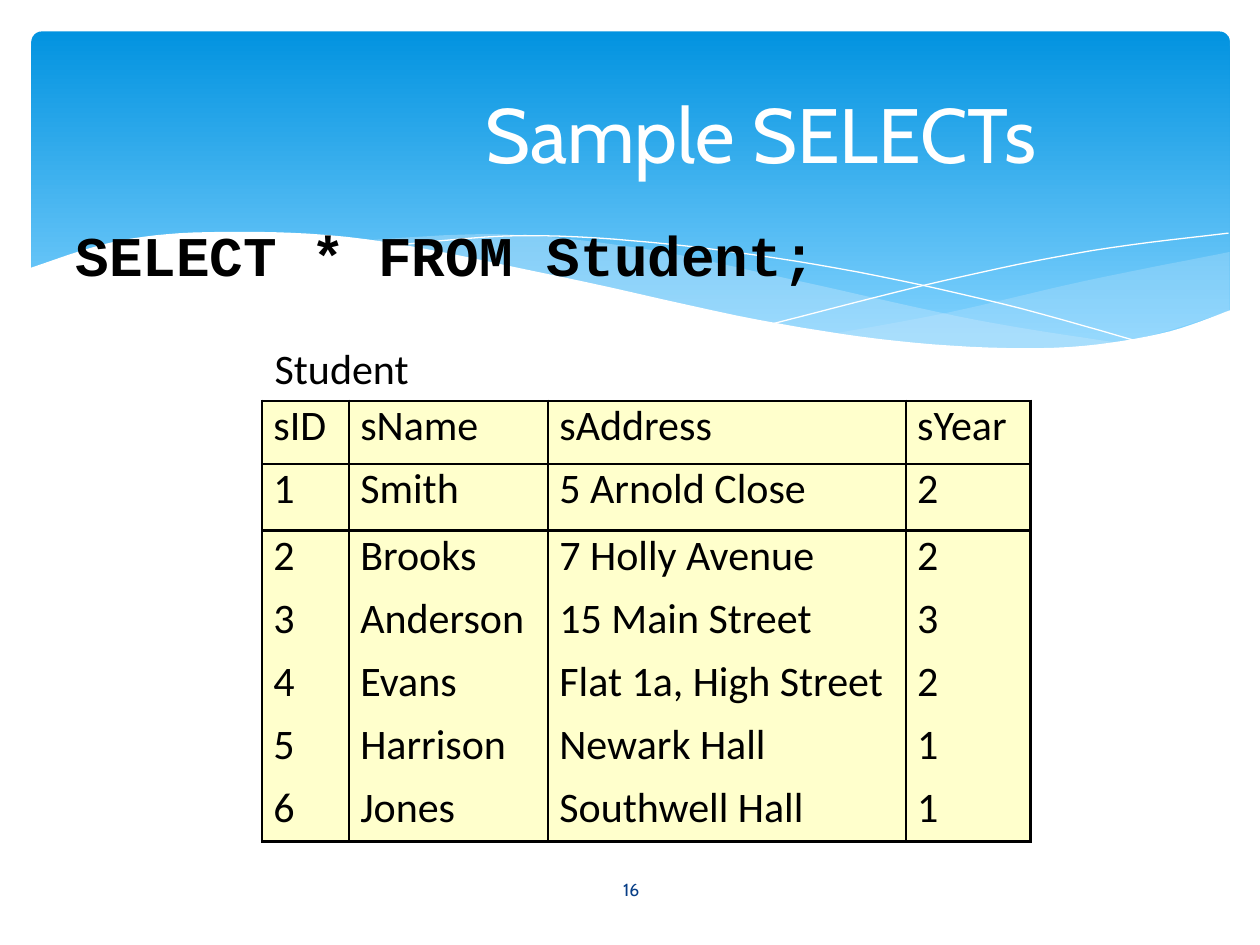
"""Build the "Sample SELECTs" slide: a wave banner, a query and its result table."""
from lxml.etree import SubElement
from pptx import Presentation
from pptx.dml.color import RGBColor
from pptx.enum.shapes import MSO_SHAPE
from pptx.enum.text import MSO_ANCHOR, PP_ALIGN
from pptx.oxml.ns import qn
from pptx.util import Inches, Pt

rgb = RGBColor.from_string
BLACK, WHITE, NAVY = "000000", "FFFFFF", "073E87"
SKY_TOP, SKY_BOTTOM, MIST, CREAM = "0293E0", "81D2FE", "C6E7FC", "FFFFCC"
UNITS_PER_INCH = 1000
STEPS_PER_SPAN = 8


def smooth_curve(anchors):
    """Return points of a Catmull-Rom spline that runs through the anchors."""
    padded = [anchors[0], *anchors, anchors[-1]]
    curve = []
    for before, start, end, after in zip(padded, padded[1:], padded[2:], padded[3:]):
        for step in range(STEPS_PER_SPAN):
            t = step / STEPS_PER_SPAN
            curve.append(tuple(
                (2 * b + (c - a) * t + (2 * a - 5 * b + 4 * c - d) * t ** 2
                 + (3 * b - a - 3 * c + d) * t ** 3) / 2
                for a, b, c, d in zip(before, start, end, after)))
    return curve + [anchors[-1]]


def write_text(frame, text, size, font, color, bold=False):
    """Fill a frame that has no margins with one formatted paragraph."""
    frame.text = text
    frame.margin_left = frame.margin_right = frame.margin_top = frame.margin_bottom = 0
    run = frame.paragraphs[0].runs[0]
    run.font.size = Pt(size)
    run.font.name = font
    run.font.bold = bold
    run.font.color.rgb = rgb(color)


prs = Presentation()
prs.slide_width, prs.slide_height = Inches(10), Inches(7.5)
slide = prs.slides.add_slide(prs.slide_layouts[5])
shapes = slide.shapes

banner = shapes.add_shape(
    MSO_SHAPE.ROUNDED_RECTANGLE, Inches(0.25), Inches(0.25), Inches(9.51), Inches(2.7))
banner.adjustments[0] = 0.03
banner.shadow.inherit = False
banner.line.fill.background()
banner.fill.gradient()
banner.fill.gradient_angle = 270
for stop, position, color in zip(banner.fill.gradient_stops, (0, 0.9), (SKY_TOP, SKY_BOTTOM)):
    stop.position = position
    stop.color.rgb = rgb(color)

right_crest = [(9.76, 2), (8.61, 2.23), (7.53, 2.48), (6.61, 2.65)]
right_trough = [(6.61, 2.65), (7.32, 2.74), (8.14, 2.78), (8.97, 2.7), (9.76, 2.47)]
middle_crest = [
    (8.93, 2.73), (7.75, 2.54), (6.29, 2.22), (5.14, 1.98), (3.99, 1.86), (2.86, 1.91)]
middle_trough = [
    (2.86, 1.91), (3.83, 2.07), (4.91, 2.32), (6.01, 2.55), (6.95, 2.7), (7.96, 2.78),
    (8.93, 2.73)]
falling_line = [
    (3.09, 1.95), (4.16, 1.87), (5.33, 1.94), (6.65, 2.13), (7.95, 2.41), (9.07, 2.72)]
rising_line = [(6.13, 2.57), (7.48, 2.23), (8.66, 1.99), (9.75, 1.85)]
page_edge = [
    (0.23, 2.13), (0.95, 1.91), (1.77, 1.84), (2.92, 1.9), (4.47, 2.2), (6.03, 2.54),
    (7.26, 2.72), (8.37, 2.76), (9.2, 2.65), (9.77, 2.46)]
page_corners = [(9.77, 3.29), (0.23, 3.29)]

filled_waves = [
    (smooth_curve(right_crest) + smooth_curve(right_trough), MIST, 29),
    (smooth_curve(middle_crest) + smooth_curve(middle_trough), MIST, 40)]
thin_lines = [(smooth_curve(line), None, None) for line in (falling_line, rising_line)]
page_wave = (smooth_curve(page_edge) + page_corners, WHITE, 100)

for points, fill_color, opacity in [*filled_waves, *thin_lines, page_wave]:
    start, *rest = [(x * UNITS_PER_INCH, y * UNITS_PER_INCH) for x, y in points]
    outline = shapes.build_freeform(*start, scale=Inches(1) / UNITS_PER_INCH)
    outline.add_line_segments(rest, close=fill_color is not None)
    wave = outline.convert_to_shape()
    wave.shadow.inherit = False
    if fill_color:
        wave.fill.solid()
        wave.fill.fore_color.rgb = rgb(fill_color)
        wave.line.fill.background()
        tint = wave._element.spPr.find(qn("a:solidFill"))[0]
        SubElement(tint, qn("a:alpha"), val=str(opacity * 1000))
    else:
        wave.fill.background()
        wave.line.color.rgb = rgb(WHITE)
        wave.line.width = Pt(0.75)

title = shapes.title
shapes._spTree.append(title._element)
title.left, title.top, title.width, title.height = Inches(0.5), Inches(0.37), Inches(9), Inches(1.37)
write_text(title.text_frame, "Sample SELECTs", 44, "Cabin", WHITE)
title.text_frame.margin_left = Inches(2.08)
title.text_frame.vertical_anchor = MSO_ANCHOR.MIDDLE
title.text_frame.paragraphs[0].alignment = PP_ALIGN.CENTER

query_left, query_step = 0.6, 1.87
for i, (clause, width) in enumerate([("SELECT", 1.63), ("* FROM", 1.63), ("Student;", 2.17)]):
    query_part = shapes.add_textbox(
        Inches(query_left + i * query_step), Inches(1.75), Inches(width), Inches(0.58))
    write_text(query_part.text_frame, clause, 32, "Courier New", BLACK, bold=True)

table_name = shapes.add_textbox(Inches(2.18), Inches(2.72), Inches(1.09), Inches(0.43))
write_text(table_name.text_frame, "Student", 24, "Calibri", BLACK)

page_number = shapes.add_textbox(Inches(4.36), Inches(6.84), Inches(1.27), Inches(0.4))
write_text(page_number.text_frame, "16", 10, "Cabin", NAVY)
page_number.text_frame.margin_left = Inches(0.03)
page_number.text_frame.word_wrap = True
page_number.text_frame.vertical_anchor = MSO_ANCHOR.MIDDLE
page_number.text_frame.paragraphs[0].alignment = PP_ALIGN.CENTER
page_number.text_frame.paragraphs[0].line_spacing = 1.24

students = [
    ("sID", "sName", "sAddress", "sYear"),
    ("1", "Smith", "5 Arnold Close", "2"),
    ("2", "Brooks", "7 Holly Avenue", "2"),
    ("3", "Anderson", "15 Main Street", "3"),
    ("4", "Evans", "Flat 1a, High Street", "2"),
    ("5", "Harrison", "Newark Hall", "1"),
    ("6", "Jones", "Southwell Hall", "1")]
column_widths = [0.69, 1.58, 2.84, 0.99]
row_heights = [0.5, 0.53, 0.5, 0.5, 0.5, 0.5, 0.47]
ruled_edges = {0, 1, 2, len(students)}
no_grid_style = "{2D5ABB26-0587-4C30-8999-92F81FD0307C}"

table = shapes.add_table(
    len(students), len(column_widths),
    Inches(2.08), Inches(3.18), Inches(6.1), Inches(3.5)).table
table.first_row = table.horz_banding = False
table._tbl.tblPr.find(qn("a:tableStyleId")).text = no_grid_style
for column, width in zip(table.columns, column_widths):
    column.width = Inches(width)
for row, height in zip(table.rows, row_heights):
    row.height = Inches(height)

for r, student in enumerate(students):
    borders = {"lnL": True, "lnR": True, "lnT": r in ruled_edges, "lnB": r + 1 in ruled_edges}
    for c, value in enumerate(student):
        cell = table.cell(r, c)
        write_text(cell.text_frame, value, 24, "Calibri", BLACK)
        cell.margin_left = Inches(0.09)
        cell.margin_right = cell.margin_top = cell.margin_bottom = 0
        for side, ruled in borders.items():
            border = SubElement(cell._tc.get_or_add_tcPr(), qn(f"a:{side}"), w=str(Pt(1.5)))
            paint = SubElement(border, qn("a:solidFill" if ruled else "a:noFill"))
            if ruled:
                SubElement(paint, qn("a:srgbClr"), val=BLACK)
        cell.fill.solid()
        cell.fill.fore_color.rgb = rgb(CREAM)

prs.save("out.pptx")
